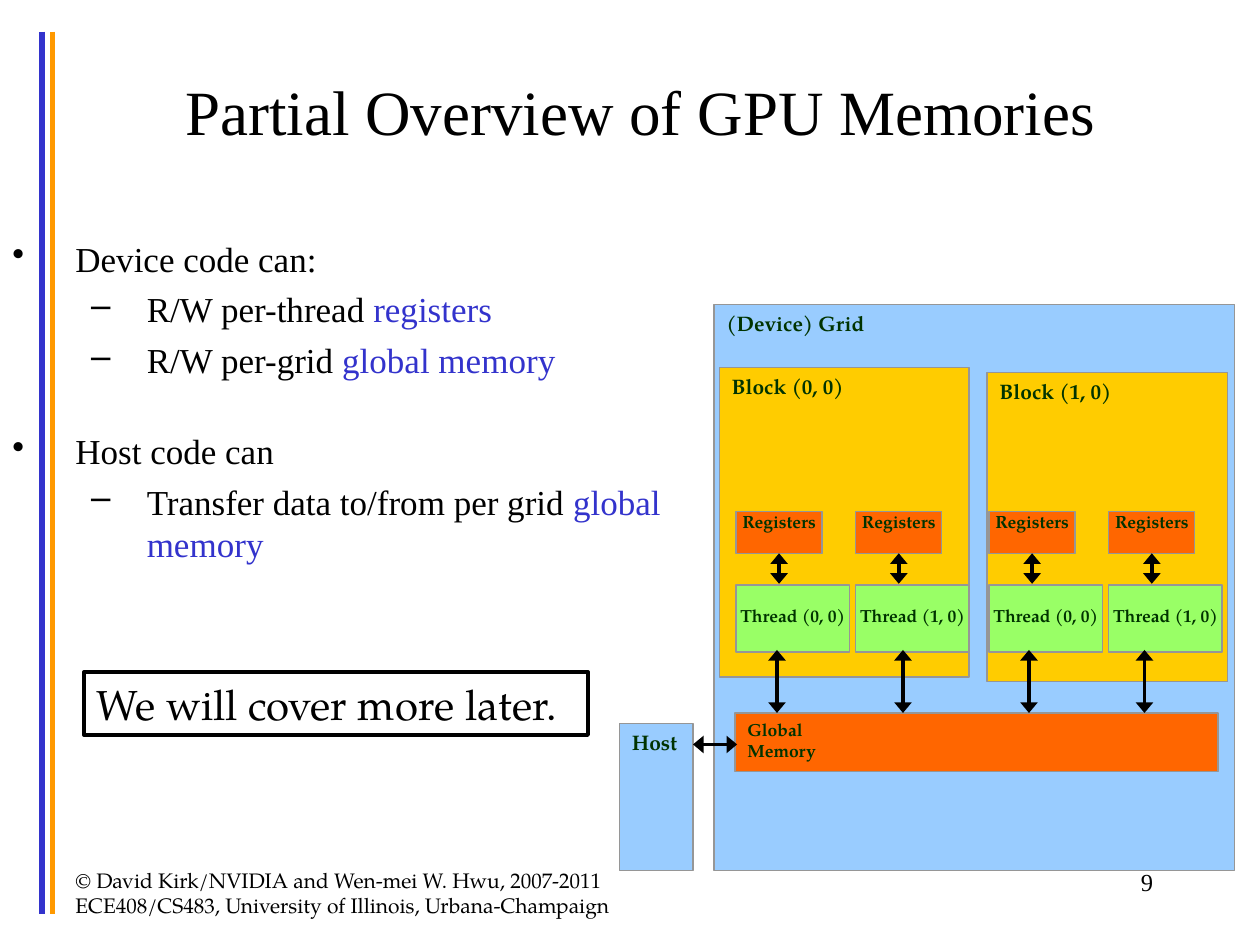
import dataclasses

import pptx
import pptx.dml.color
import pptx.enum.shapes
import pptx.enum.text
import pptx.oxml.ns
import pptx.util
from lxml import etree

CELL = pptx.util.Inches(1) / 12  # the slide is a grid of 120 columns, 90 rows
ALIGN = pptx.enum.text.PP_ALIGN
ANCHOR = pptx.enum.text.MSO_ANCHOR


@dataclasses.dataclass(frozen=True)
class Theme:
    serif: str = "Times New Roman"
    label: str = "TeX Gyre Pagella"
    black: str = "000000"
    accent: str = "3333CC"
    stripe: str = "FF9900"
    label_ink: str = "003300"
    edge: str = "969696"
    space: str = "99CCFF"
    block: str = "FFCC00"
    memory: str = "FF6600"
    thread: str = "99FF66"
    title_size: float = 36
    callout_size: float = 24
    body_size: float = 20
    number_size: float = 14
    label_size: float = 12
    small_size: float = 10


THEME = Theme()
INSETS = (1.2, 0.6, 1.2, 0.6)
CORNER = (1.2, 0.6, 0, 0)


def rgb(value):
    return pptx.dml.color.RGBColor.from_string(value)


def cells(*values):
    return [round(v * CELL) for v in values]


def style_run(r, size, font, color, bold=False):
    r.font.size = pptx.util.Pt(size)
    r.font.name = font
    r.font.bold = bold
    r.font.color.rgb = rgb(color)


def set_frame(tf, insets=INSETS, anchor=ANCHOR.TOP):
    tf.word_wrap = True
    tf.vertical_anchor = anchor
    (tf.margin_left, tf.margin_top,
     tf.margin_right, tf.margin_bottom) = cells(*insets)


def write(tf, text, size, font, color=THEME.black, bold=False,
          align=ALIGN.LEFT):
    tf.text = text
    for p in tf.paragraphs:
        p.alignment = align
        for r in p.runs:
            style_run(r, size, font, color, bold)


def add_text(s, box, text, size, font, align=ALIGN.LEFT, anchor=ANCHOR.TOP):
    tf = s.shapes.add_textbox(*cells(*box)).text_frame
    set_frame(tf, anchor=anchor)
    write(tf, text, size, font, align=align)


def add_rect(s, box, fill=None, edge=THEME.edge, weight=0.75):
    sp = s.shapes.add_shape(pptx.enum.shapes.MSO_SHAPE.RECTANGLE, *cells(*box))
    sp.shadow.inherit = False
    if fill:
        sp.fill.solid()
        sp.fill.fore_color.rgb = rgb(fill)
    else:
        sp.fill.background()
    sp.line.color.rgb = rgb(edge)
    sp.line.width = pptx.util.Pt(weight)
    return sp


def add_labelled(s, box, fill, text, size=THEME.label_size, insets=CORNER,
                 align=ALIGN.LEFT):
    tf = add_rect(s, box, fill).text_frame
    set_frame(tf, insets)
    write(tf, text, size, THEME.label, THEME.label_ink, True, align)


def add_line(s, start, end, color, weight):
    line = s.shapes.add_connector(pptx.enum.shapes.MSO_CONNECTOR.STRAIGHT,
                                  *cells(*start, *end))
    line.line.color.rgb = rgb(color)
    line.line.width = pptx.util.Pt(weight)
    etree.SubElement(line._element.spPr, pptx.oxml.ns.qn("a:effectLst"))
    return line


def add_double_arrow(s, start, end):
    line = add_line(s, start, end, THEME.black, 2)
    ln = line.line._get_or_add_ln()
    for end_tag in ("a:headEnd", "a:tailEnd"):
        etree.SubElement(ln, pptx.oxml.ns.qn(end_tag), type="triangle",
                         w="lg", len="med")


def set_bullet(p, char, left, hanging):
    pPr = p._p.get_or_add_pPr()
    margin, indent = cells(left, -hanging)
    pPr.set("marL", str(margin))
    pPr.set("indent", str(indent))
    etree.SubElement(pPr, pptx.oxml.ns.qn("a:buChar"), char=char)


def add_bullets(s, box, items):
    """Each item is level, space before, plain text and accented text."""
    tf = s.shapes.add_textbox(*cells(*box)).text_frame
    set_frame(tf)
    styles = (("•", 6, 6), ("–", 12.8, 5.3))
    for i, (level, before, plain, accented) in enumerate(items):
        p = tf.add_paragraph() if i else tf.paragraphs[0]
        p.level = level
        p.space_before = pptx.util.Pt(before)
        set_bullet(p, *styles[level])
        for text, color in ((plain, THEME.black), (accented, THEME.accent)):
            if text:
                r = p.add_run()
                r.text = text
                style_run(r, THEME.body_size, THEME.serif, color)


def add_thread(s, left, name, memory_x):
    """A thread with its registers above and its link to global memory."""
    add_labelled(s, (left, 55.7, 10.8, 6.4), THEME.thread, name,
                 THEME.small_size, (0, 1.9, 0, 0), ALIGN.CENTER)
    add_labelled(s, (left, 48.7, 8.2, 4), THEME.memory, "Registers",
                 THEME.small_size, (0, 0, 0, 0), ALIGN.CENTER)
    add_double_arrow(s, (left + 4.1, 55.6), (left + 4.1, 52.7))
    add_double_arrow(s, (memory_x, 61.9), (memory_x, 67.9))


def add_block(s, box, name, first_thread, memory_xs):
    add_labelled(s, box, THEME.block, name)
    for i, memory_x in enumerate(memory_xs):
        add_thread(s, first_thread + 11.4 * i, f"Thread ({i}, 0)", memory_x)


def add_memory_diagram(s):
    add_labelled(s, (68, 29, 49.6, 53.9), THEME.space, "(Device) Grid")
    add_labelled(s, (70, 67.9, 46, 5.6), THEME.memory, "Global\nMemory",
                 THEME.small_size)
    add_block(s, (68.5, 35, 23.8, 29.5), "Block (0, 0)", 70.1, (74, 86))
    add_block(s, (94, 35.5, 22.9, 29.4), "Block (1, 0)", 94.2, (98, 109))
    add_labelled(s, (59, 68.9, 7, 14), THEME.space, "Host")
    add_double_arrow(s, (66, 70.9), (70.2, 70.9))


def add_callout(s, box, text):
    tf = add_rect(s, box, edge=THEME.black, weight=2.25).text_frame
    set_frame(tf)
    write(tf, text, THEME.callout_size, THEME.label)


def main():
    prs = pptx.Presentation()
    prs.slide_width, prs.slide_height = cells(120, 90)
    s = prs.slides.add_slide(prs.slide_layouts[6])

    for x, color in ((4, THEME.accent), (5, THEME.stripe)):
        add_line(s, (x, 3), (x, 87), color, 3)
    add_text(s, (9, 3, 104, 15), "Partial Overview of GPU Memories",
             THEME.title_size, THEME.serif, ALIGN.CENTER, ANCHOR.MIDDLE)
    add_bullets(s, (0, 22, 70, 50), [
        (0, 0, "Device code can:", ""),
        (1, 5, "R/W per-thread ", "registers"),
        (1, 5, "R/W per-grid ", "global memory"),
        (0, 28, "Host code can", ""),
        (1, 5, "Transfer data to/from per grid ", "global memory"),
    ])
    add_memory_diagram(s)
    add_text(s, (86, 82, 25, 6), "9", THEME.number_size, THEME.serif,
             ALIGN.RIGHT)
    add_text(s, (6, 82, 55, 6),
             "© David Kirk/NVIDIA and Wen-mei W. Hwu, 2007-2011 "
             "ECE408/CS483, University of Illinois, Urbana-Champaign",
             THEME.label_size, THEME.label)
    add_callout(s, (8, 64, 48, 6), "We will cover more later.")
    prs.save("out.pptx")


if __name__ == "__main__":
    main()
